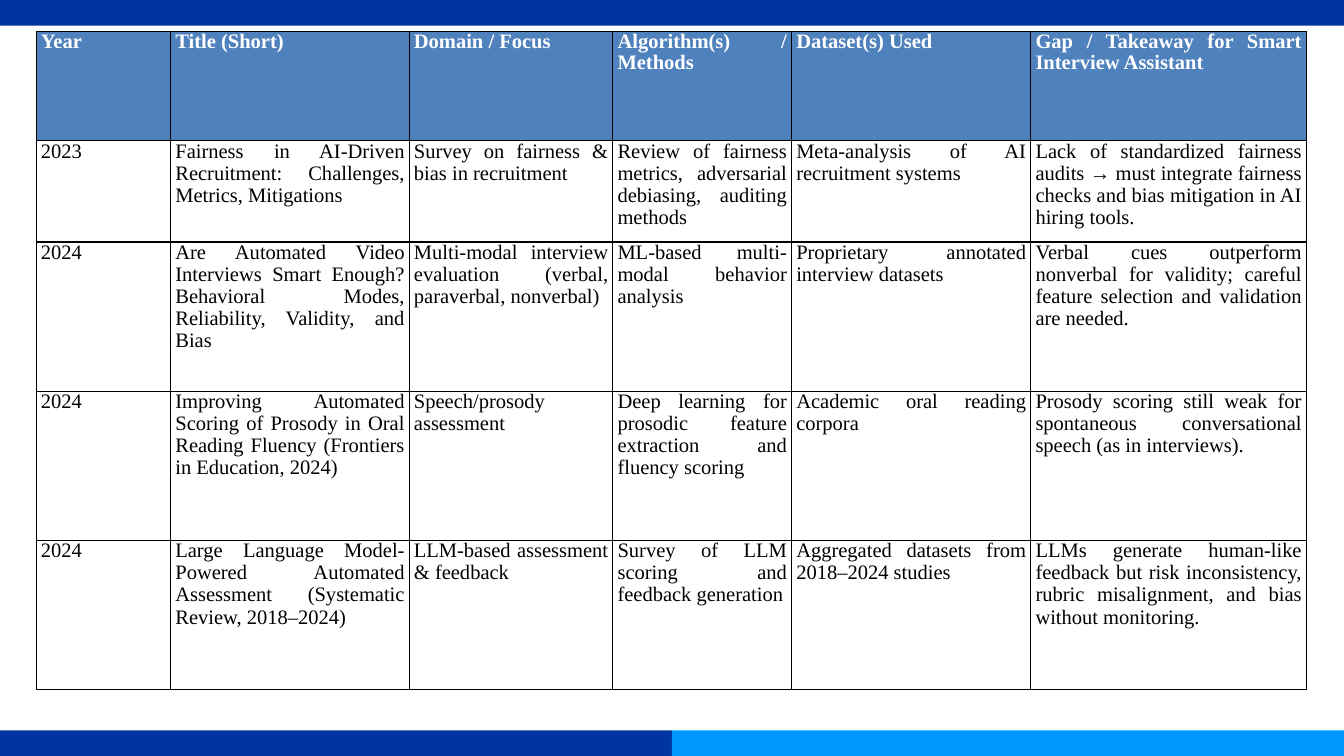
from dataclasses import dataclass
from typing import Any

from lxml.etree import SubElement
from pptx import Presentation
from pptx.dml.color import RGBColor
from pptx.enum.shapes import MSO_SHAPE as Shape
from pptx.enum.text import PP_ALIGN as Align
from pptx.oxml.ns import qn
from pptx.util import Pt

PX = 9144
WIDTH, HEIGHT, BAR = 2000, 1125, 38
COLORS = {
    "navy": "00349E",
    "sky": "0099FF",
    "header": "4F81BD",
    "white": "FFFFFF",
    "black": "000000",
}
COLUMNS = [200, 355, 303, 266, 356, 410]
LEFT = 54

HEADINGS = [
    "Year",
    "Title (Short)",
    "Domain / Focus",
    "Algorithm(s) / Methods",
    "Dataset(s) Used",
    "Gap / Takeaway for Smart Interview Assistant",
]
STUDIES = [
    [
        "2023",
        "Fairness in AI-Driven Recruitment: Challenges, Metrics, Mitigations",
        "Survey on fairness & bias in recruitment",
        "Review of fairness metrics, adversarial debiasing, auditing methods",
        "Meta-analysis of AI recruitment systems",
        "Lack of standardized fairness audits → must integrate fairness checks "
        "and bias mitigation in AI hiring tools.",
    ],
    [
        "2024",
        "Are Automated Video Interviews Smart Enough? Behavioral Modes, "
        "Reliability, Validity, and Bias",
        "Multi-modal interview evaluation (verbal, paraverbal, nonverbal)",
        "ML-based multi-modal behavior analysis",
        "Proprietary annotated interview datasets",
        "Verbal cues outperform nonverbal for validity; careful feature "
        "selection and validation are needed.",
    ],
    [
        "2024",
        "Improving Automated Scoring of Prosody in Oral Reading Fluency "
        "(Frontiers in Education, 2024)",
        "Speech/prosody assessment",
        "Deep learning for prosodic feature extraction and fluency scoring",
        "Academic oral reading corpora",
        "Prosody scoring still weak for spontaneous conversational speech "
        "(as in interviews).",
    ],
    [
        "2024",
        "Large Language Model-Powered Automated Assessment "
        "(Systematic Review, 2018–2024)",
        "LLM-based assessment & feedback",
        "Survey of LLM scoring and feedback generation",
        "Aggregated datasets from 2018–2024 studies",
        "LLMs generate human-like feedback but risk inconsistency, rubric "
        "misalignment, and bias without monitoring.",
    ],
]


@dataclass
class Page:
    slide: Any
    font: str = "Times New Roman"
    size: int = 22
    inset: int = 7

    def color(self, name):
        return RGBColor.from_string(COLORS[name])

    def bar(self, left, top, width, fill):
        band = self.slide.shapes.add_shape(
            Shape.RECTANGLE, left * PX, top * PX, width * PX, BAR * PX
        )
        band.shadow.inherit = False
        band.fill.solid()
        band.fill.fore_color.rgb = self.color(fill)
        band.line.fill.background()

    def borders(self, cell):
        properties = cell._tc.get_or_add_tcPr()
        for side in ("a:lnL", "a:lnR", "a:lnT", "a:lnB"):
            edge = SubElement(properties, qn(side), w=str(Pt(1)))
            solid = SubElement(edge, qn("a:solidFill"))
            SubElement(solid, qn("a:srgbClr"), val=COLORS["black"])

    def cell(self, cell, text, fill, ink, bold, spacing):
        cell.margin_left = cell.margin_right = self.inset * PX
        cell.margin_top = cell.margin_bottom = 0
        self.borders(cell)
        cell.fill.solid()
        cell.fill.fore_color.rgb = self.color(fill)
        cell.text = text
        paragraph = cell.text_frame.paragraphs[0]
        paragraph.alignment = Align.JUSTIFY
        paragraph.line_spacing = spacing
        paragraph.font.name = self.font
        paragraph.font.size = Pt(self.size)
        paragraph.font.bold = bold
        paragraph.font.color.rgb = self.color(ink)

    def table(self, top, row_height, rows, width=sum(COLUMNS),
              fill="white", ink="black", bold=False, spacing=0.97):
        frame = self.slide.shapes.add_table(
            len(rows), len(COLUMNS), LEFT * PX, top * PX,
            width * PX, len(rows) * row_height * PX,
        )
        grid = frame.table
        grid.first_row = grid.horz_banding = False
        for column, column_width in zip(grid.columns, COLUMNS):
            column.width = column_width * PX
        for row, texts in zip(grid.rows, rows):
            row.height = row_height * PX
            for cell, text in zip(row.cells, texts):
                self.cell(cell, text, fill, ink, bold, spacing)
        frame.width = width * PX


def main():
    deck = Presentation()
    deck.slide_width, deck.slide_height = WIDTH * PX, HEIGHT * PX
    page = Page(deck.slides.add_slide(deck.slide_layouts[6]))

    half = WIDTH // 2
    page.bar(0, HEIGHT - BAR, half, "navy")
    page.bar(half, HEIGHT - BAR, half, "sky")
    page.bar(0, 0, WIDTH, "navy")

    page.table(47, 162, [HEADINGS], width=1892, fill="header", ink="white",
               bold=True, spacing=0.93)
    page.table(209, 150, STUDIES[:1])
    page.table(360, 222, STUDIES[1:])

    deck.save("out.pptx")


if __name__ == "__main__":
    main()
